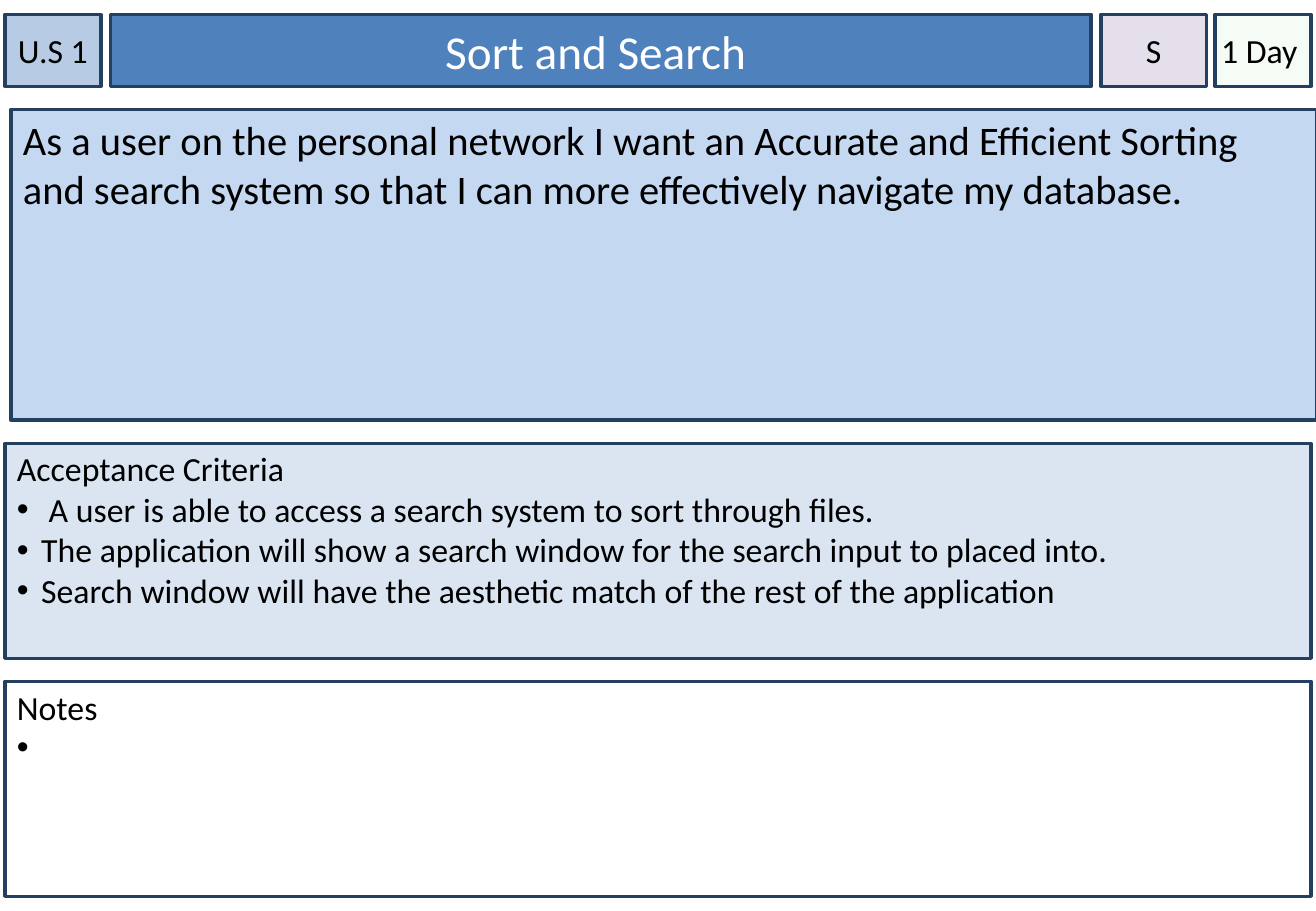
from lxml import etree
from pptx import Presentation
from pptx.dml.color import RGBColor
from pptx.enum.shapes import MSO_SHAPE
from pptx.enum.text import MSO_ANCHOR, MSO_AUTO_SIZE, PP_ALIGN
from pptx.oxml.ns import qn
from pptx.util import Inches, Pt

RECTANGLE = MSO_SHAPE.RECTANGLE
TOP, MIDDLE = MSO_ANCHOR.TOP, MSO_ANCHOR.MIDDLE
LEFT, CENTER = PP_ALIGN.LEFT, PP_ALIGN.CENTER
NO_AUTOFIT = MSO_AUTO_SIZE.NONE

FONT = "Calibri"
BLACK, WHITE, NAVY = "000000", "FFFFFF", "244061"
HEADER_TOP, HEADER_HEIGHT = 0.12, 0.59
PANEL_LEFT, PANEL_WIDTH, PANEL_HEIGHT = 0.04, 10.75, 1.77
BULLET_INDENT = 0.2


def rgb(color):
    """Turn a hex string into a colour."""
    return RGBColor.from_string(color)


def style_box(box, fill, anchor, side_inset=0.1, top_inset=0.05):
    """Give a box its fill, navy outline and text frame settings."""
    box.fill.solid()
    box.fill.fore_color.rgb = rgb(fill)
    box.line.color.rgb = rgb(NAVY)
    box.line.width = Pt(2)
    frame = box.text_frame
    frame.auto_size = NO_AUTOFIT
    frame.word_wrap = True
    frame.vertical_anchor = anchor
    frame.margin_left = frame.margin_right = Inches(side_inset)
    frame.margin_top = Inches(top_inset)
    frame.margin_bottom = Inches(0.05)


def add_box(slide, left, top, width, height):
    """Add a rectangle without a shadow."""
    box = slide.shapes.add_shape(
        RECTANGLE, Inches(left), Inches(top), Inches(width), Inches(height))
    box.shadow.inherit = False
    return box


def write(paragraph, text, size, color=BLACK, align=LEFT):
    """Write one run into a paragraph."""
    paragraph.alignment = align
    run = paragraph.add_run()
    run.text = text
    run.font.name = FONT
    run.font.size = Pt(size)
    run.font.color.rgb = rgb(color)


def set_bullet(paragraph):
    """Give a paragraph a black round bullet with a hanging indent."""
    properties = paragraph._p.get_or_add_pPr()
    properties.set("marL", str(Inches(BULLET_INDENT)))
    properties.set("indent", str(-Inches(BULLET_INDENT)))
    bullet_color = etree.SubElement(properties, qn("a:buClr"))
    etree.SubElement(bullet_color, qn("a:srgbClr"), val=BLACK)
    etree.SubElement(properties, qn("a:buFont"), typeface="Arial")
    etree.SubElement(properties, qn("a:buChar"), char="•")


def set_opacity(box, percent):
    """Make the solid fill of a box partly transparent."""
    color = box._element.spPr.find(qn("a:solidFill")).find(qn("a:srgbClr"))
    etree.SubElement(color, qn("a:alpha"), val=str(percent * 1000))


def add_title(slide, text):
    """Place and format the story title."""
    title = slide.shapes.title
    title.left, title.top = Inches(0.91), Inches(HEADER_TOP)
    title.width, title.height = Inches(8.07), Inches(HEADER_HEIGHT)
    style_box(title, "4F81BD", MIDDLE)
    write(title.text_frame.paragraphs[0], text, 28, WHITE, CENTER)


def add_header_cell(slide, left, width, fill, text):
    """Add a small centred cell to the header row."""
    cell = add_box(slide, left, HEADER_TOP, width, HEADER_HEIGHT)
    style_box(cell, fill, MIDDLE, side_inset=0)
    write(cell.text_frame.paragraphs[0], text, 20, align=CENTER)
    return cell


def add_story(slide, text):
    """Add the user story panel."""
    story = add_box(slide, 0.09, 0.9, PANEL_WIDTH, 2.56)
    style_box(story, "C5D8F1", TOP)
    write(story.text_frame.paragraphs[0], text, 24)


def add_list_panel(slide, top, fill, heading, items):
    """Add a panel with a heading and a bulleted list."""
    panel = add_box(slide, PANEL_LEFT, top, PANEL_WIDTH, PANEL_HEIGHT)
    style_box(panel, fill, TOP, top_inset=0.04)
    write(panel.text_frame.paragraphs[0], heading, 20)
    for item in items:
        paragraph = panel.text_frame.add_paragraph()
        write(paragraph, item, 20)
        set_bullet(paragraph)


def main():
    """Build the user story card."""
    deck = Presentation()
    deck.slide_width, deck.slide_height = Inches(10.83), Inches(7.5)
    slide = deck.slides.add_slide(deck.slide_layouts[5])

    add_title(slide, "Sort and Search ")
    add_header_cell(slide, PANEL_LEFT, 0.79, "B7CCE4", "U.S 1")
    add_header_cell(slide, 9.06, 0.87, "E5DFEC", "S")
    estimate = add_header_cell(slide, 10, 0.79, "CCF0CD", "1 Day ")
    set_opacity(estimate, 20)

    add_story(slide, "As a user on the personal network I want an Accurate and "
                     "Efficient Sorting and search system so that I can more "
                     "effectively navigate my database.")
    add_list_panel(slide, 3.65, "DAE5F1", "Acceptance Criteria", [
        " A user is able to access a search system to sort through files.",
        "The application will show a search window for the search input to placed into.",
        "Search window will have the aesthetic match of the rest of the application",
    ])
    add_list_panel(slide, 5.61, WHITE, "Notes", [" "])

    deck.save("out.pptx")


if __name__ == "__main__":
    main()
